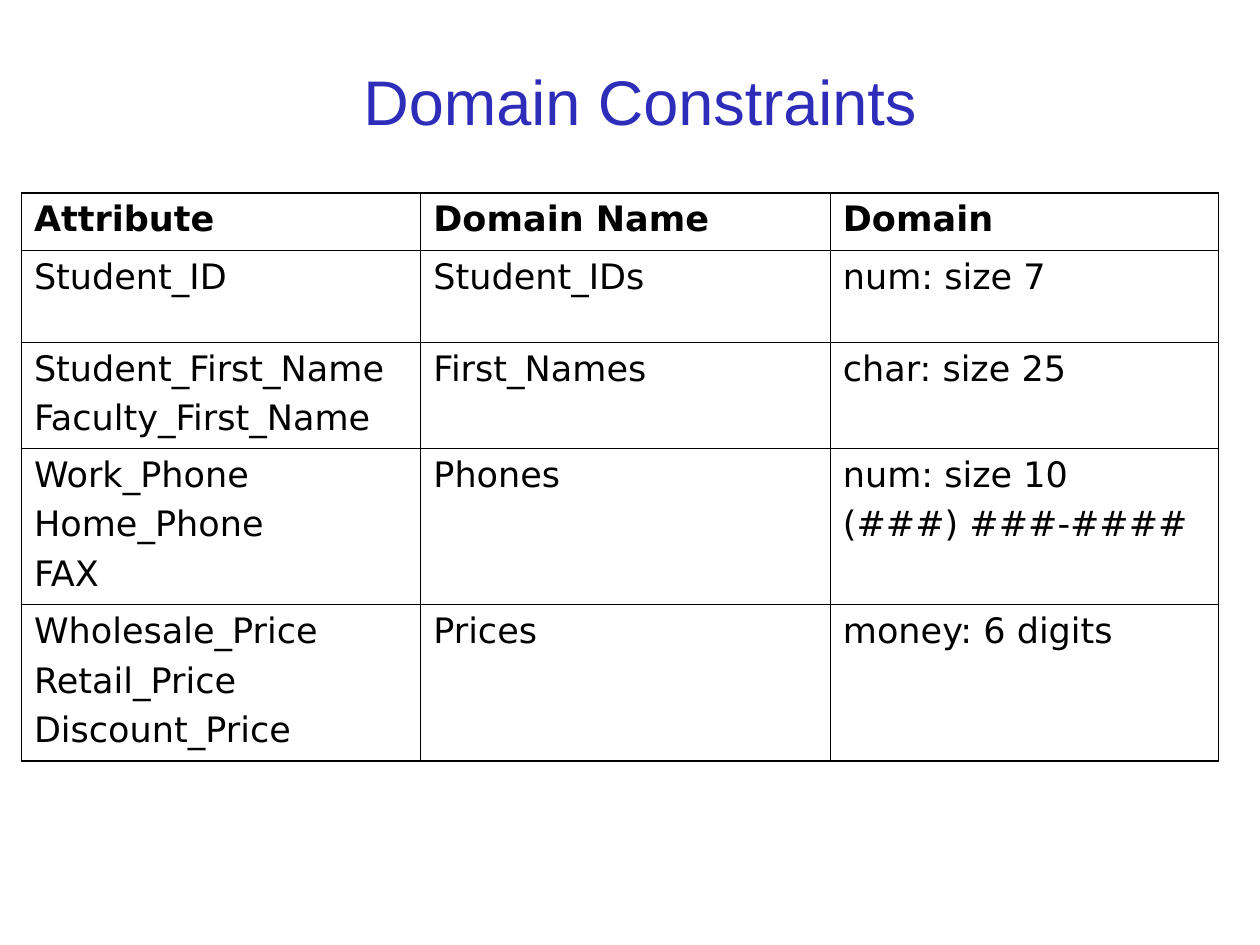
from lxml import etree
from pptx import Presentation
from pptx.dml.color import RGBColor
from pptx.enum.text import MSO_ANCHOR, PP_ALIGN
from pptx.oxml.ns import qn
from pptx.util import Inches, Pt

CENTER = PP_ALIGN.CENTER
MIDDLE = MSO_ANCHOR.MIDDLE

BLACK = "000000"
TITLE_FORMAT = {"name": "Arial", "size": Pt(36), "bold": False}
HEADER_FORMAT = {"name": "DejaVu Sans", "size": Pt(20), "bold": True}
BODY_FORMAT = {**HEADER_FORMAT, "bold": False}
OUTER_LINE, INNER_LINE = Pt(1.08), Pt(0.45)

COLUMN_WIDTHS = [3.17, 3.25, 3.08]
ROW_HEIGHTS = [0.46, 0.73, 0.84, 1.24, 1.24]
# One list of lines per cell
ROWS = [
    [["Attribute"], ["Domain Name"], ["Domain"]],
    [["Student_ID"], ["Student_IDs"], ["num: size 7"]],
    [["Student_First_Name", "Faculty_First_Name"], ["First_Names"], ["char: size 25"]],
    [["Work_Phone", "Home_Phone", "FAX"], ["Phones"], ["num: size 10", "(###) ###-####"]],
    [["Wholesale_Price", "Retail_Price", "Discount_Price"], ["Prices"], ["money: 6 digits"]],
]


def color(value):
    return RGBColor.from_string(value)


def write_lines(frame, lines, formats, text_color, align=None):
    """Write one paragraph per line, spaced apart after the first."""
    for index, line in enumerate(lines):
        para = frame.add_paragraph() if index else frame.paragraphs[0]
        para.alignment = align
        if index:
            para.space_before = Pt(5)
        span = para.add_run()
        span.text = line
        for name, value in formats.items():
            setattr(span.font, name, value)
        span.font.color.rgb = color(text_color)


def add_title(page, text):
    box = page.shapes.add_textbox(Inches(0.33), Inches(0.17), Inches(9.5), Inches(1.25))
    frame = box.text_frame
    frame.word_wrap = True
    frame.vertical_anchor = MIDDLE
    write_lines(frame, [text], TITLE_FORMAT, "2D2DB9", CENTER)


def set_borders(cell, outer_sides):
    """Draw all four borders, heavier along the edge of the table."""
    properties = cell._tc.get_or_add_tcPr()
    for side in ("lnL", "lnR", "lnT", "lnB"):
        width = OUTER_LINE if outer_sides[side] else INNER_LINE
        line = etree.SubElement(properties, qn(f"a:{side}"), w=str(int(width)))
        fill = etree.SubElement(line, qn("a:solidFill"))
        etree.SubElement(fill, qn("a:srgbClr"), val=BLACK)


def add_domain_table(page):
    last_row, last_column = len(ROWS) - 1, len(COLUMN_WIDTHS) - 1
    table = page.shapes.add_table(
        len(ROWS), len(COLUMN_WIDTHS), Inches(0.17), Inches(1.53),
        Inches(sum(COLUMN_WIDTHS)), Inches(sum(ROW_HEIGHTS))).table
    table.first_row = table.horz_banding = False
    for column, width in zip(table.columns, COLUMN_WIDTHS):
        column.width = Inches(width)
    for row, height in zip(table.rows, ROW_HEIGHTS):
        row.height = Inches(height)

    for r, cells in enumerate(ROWS):
        for c, lines in enumerate(cells):
            cell = table.cell(r, c)
            set_borders(cell, {"lnL": c == 0, "lnR": c == last_column,
                               "lnT": r == 0, "lnB": r == last_row})
            cell.fill.background()
            formats = BODY_FORMAT if r else HEADER_FORMAT
            write_lines(cell.text_frame, lines, formats, BLACK)


def main():
    deck = Presentation()
    deck.slide_width, deck.slide_height = Inches(10), Inches(7.5)
    page = deck.slides.add_slide(deck.slide_layouts[6])
    add_title(page, "Domain Constraints")
    add_domain_table(page)
    deck.save("out.pptx")


if __name__ == "__main__":
    main()
